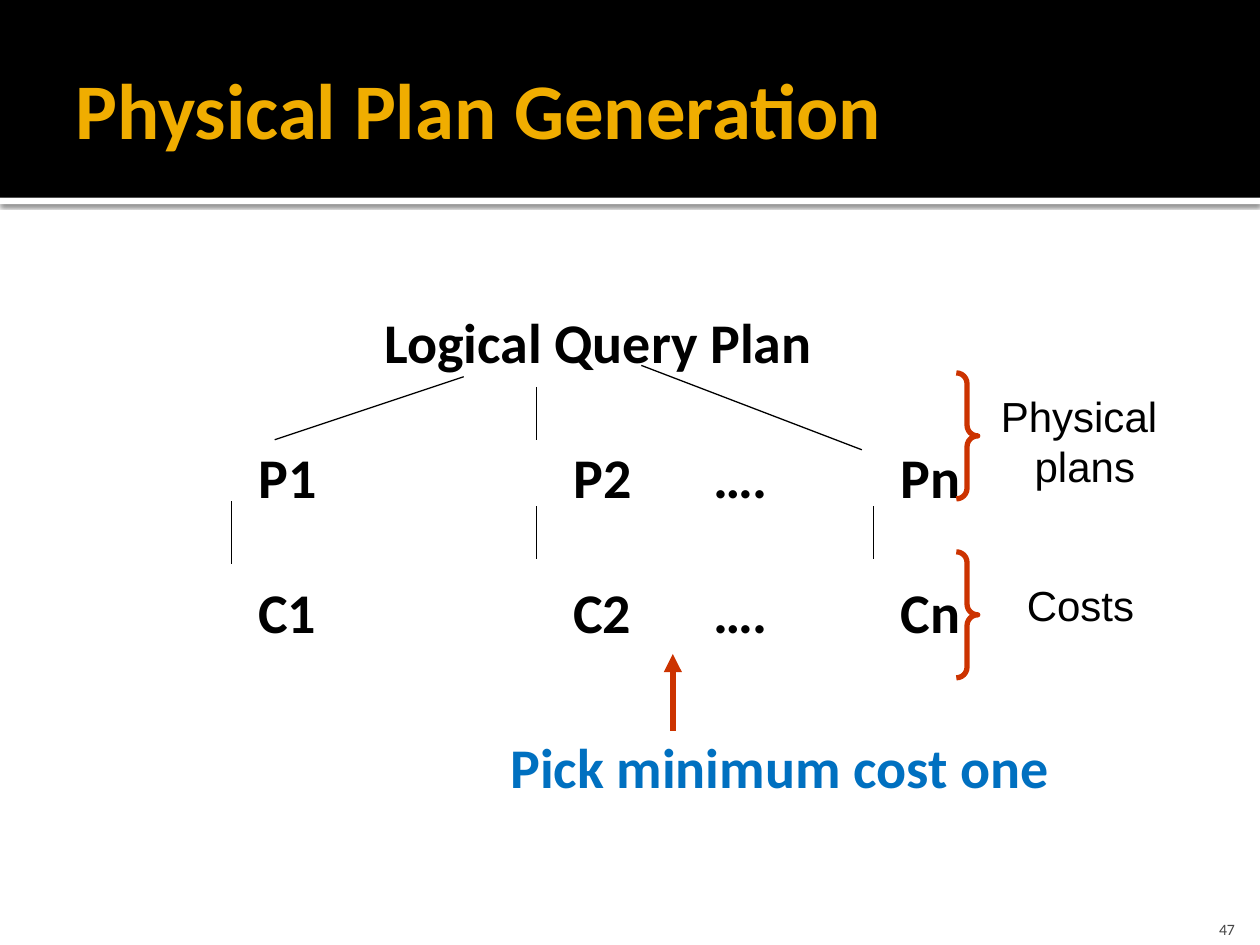
from lxml.etree import SubElement
from pptx import Presentation
from pptx.dml.color import RGBColor
from pptx.enum.shapes import MSO_CONNECTOR, MSO_SHAPE
from pptx.enum.text import MSO_ANCHOR, PP_ALIGN
from pptx.oxml.ns import qn
from pptx.util import Inches, Pt

BLACK = RGBColor(0x00, 0x00, 0x00)
WHITE = RGBColor(0xFF, 0xFF, 0xFF)
GOLD = RGBColor(0xF0, 0xAD, 0x00)
BLUE = RGBColor(0x00, 0x70, 0xC0)
RED = RGBColor(0xCC, 0x33, 0x00)
GRAY = RGBColor(0x45, 0x45, 0x45)


def add_text(slide, box, text, size, color=BLACK, font="Calibri", bold=False,
             align=PP_ALIGN.LEFT, anchor=MSO_ANCHOR.MIDDLE, insets=(0, 0, 0, 0), wrap=False):
    """Place text in a box of left, top, width and height in inches."""
    label = slide.shapes.add_textbox(*map(Inches, box))
    frame = label.text_frame
    frame.word_wrap = wrap
    frame.vertical_anchor = anchor
    (frame.margin_left, frame.margin_top,
     frame.margin_right, frame.margin_bottom) = map(Inches, insets)
    frame.text = text
    for paragraph in frame.paragraphs:
        paragraph.alignment = align
        for run in paragraph.runs:
            run.font.name = font
            run.font.size = Pt(size)
            run.font.bold = bold
            run.font.color.rgb = color


def add_line(slide, start, end, color=BLACK, width=0.75, arrow=False):
    """Draw a straight line, with an arrowhead at its end if asked."""
    line = slide.shapes.add_connector(
        MSO_CONNECTOR.STRAIGHT, *map(Inches, (*start, *end)))
    line.line.color.rgb = color
    line.line.width = Pt(width)
    if arrow:
        SubElement(line.line._get_or_add_ln(), qn("a:tailEnd"), type="triangle")
    SubElement(line._element.spPr, qn("a:effectLst"))


def add_band(slide, box, color):
    """Fill a plain rectangle and return it."""
    band = slide.shapes.add_shape(MSO_SHAPE.RECTANGLE, *map(Inches, box))
    band.shadow.inherit = False
    band.fill.solid()
    band.fill.fore_color.rgb = color
    band.line.fill.background()
    return band


def add_header(slide, left, top, width, height):
    """Draw the title band with its shadowed white edge."""
    edge = add_band(slide, (left, top + height, width, 0.05), WHITE)
    effects = edge._element.spPr.find(qn("a:effectLst"))
    shadow = SubElement(effects, qn("a:outerShdw"), blurRad=str(Pt(2.5)),
                        dist=str(Pt(0.8)), dir="5400000", rotWithShape="0")
    shade = SubElement(shadow, qn("a:srgbClr"), val=str(BLACK))
    SubElement(shade, qn("a:alpha"), val="60000")
    add_band(slide, (left, top, width, height), BLACK)
    add_text(slide, (left + 0.5, top + 0.17, width - 1, 1.37), "Physical Plan Generation",
             45, GOLD, bold=True, insets=(0.1, 0.05, 0.05, 0.05), wrap=True)


def add_plan_tree(slide, left, top, width, height):
    """Lay out the logical plan, its physical plans, their costs and the choice."""
    row_height = 0.54
    row_gap = 1.07
    columns = {"1": 1.54, "2": 4.04, "….": 5.15, "n": 6.64}

    def add_label(x, y, text, color=BLACK):
        add_text(slide, (left + x, top + y, width - x, row_height), text, 32, color, bold=True)

    add_label(2.54, 0.12, "Logical Query Plan")
    for row, letter in enumerate("PC", start=1):
        for name, x in columns.items():
            add_label(x, 0.12 + row * row_gap, name if name == "…." else letter + name)
    add_label(3.54, height - 1.01, "Pick minimum cost one", BLUE)

    branches = [((3.17, 0.67), (1.67, 1.17)),
                ((3.75, 0.75), (3.75, 1.17)),
                ((4.58, 0.58), (6.33, 1.25))]
    cost_links = [((x, y), (x, y + length))
                  for x, y, length in ((1.33, 1.66, 0.5), (3.75, 1.7, 0.42), (6.42, 1.7, 0.42))]
    for (x1, y1), (x2, y2) in branches + cost_links:
        add_line(slide, (left + x1, top + y1), (left + x2, top + y2))
    choice_x = left + 4.83
    add_line(slide, (choice_x, top + 3.48), (choice_x, top + 2.87), RED, 3.5, arrow=True)


def add_brace_note(slide, left, top, width, height, text, offset, align):
    """Draw a brace and its note, centred on the brace's height."""
    brace = slide.shapes.add_shape(
        MSO_SHAPE.RIGHT_BRACE, *map(Inches, (left, top, 0.17, height)))
    brace.adjustments[0] = 0.5
    brace.adjustments[1] = 0.5
    brace.shadow.inherit = False
    brace.fill.background()
    brace.line.color.rgb = RED
    brace.line.width = Pt(3)
    note_height = 0.9 if "\n" in text else 0.5
    note_top = top + offset
    add_text(slide, (left + 0.25, note_top, width - 0.25, note_height), text, 24,
             font="Arial", align=align, anchor=MSO_ANCHOR.TOP,
             insets=(0.1, 0.05, 0.1, 0.05))


def add_page_number(slide, left, top, width, height):
    """Place the page number at the bottom right."""
    add_text(slide, (left, top, width, height), "47", 9, GRAY, align=PP_ALIGN.RIGHT,
             anchor=MSO_ANCHOR.BOTTOM, insets=(0.1, 0.05, 0.1, 0), wrap=True)


def main():
    """Build and save the slide."""
    deck = Presentation()
    deck.slide_width, deck.slide_height = Inches(10), Inches(7.5)
    slide = deck.slides.add_slide(deck.slide_layouts[6])
    add_header(slide, 0, 0, 10, 1.57)
    add_plan_tree(slide, 0.51, 2.32, 9, 4.5)
    add_brace_note(slide, 7.59, 2.96, 1.79, 1, "Physical \nplans", 0.09, PP_ALIGN.CENTER)
    add_brace_note(slide, 7.59, 4.38, 1.72, 1, "Costs", 0.17, PP_ALIGN.CENTER)
    add_page_number(slide, 9.1, 7.15, 0.8, 0.3)
    deck.save("out.pptx")


if __name__ == "__main__":
    main()
